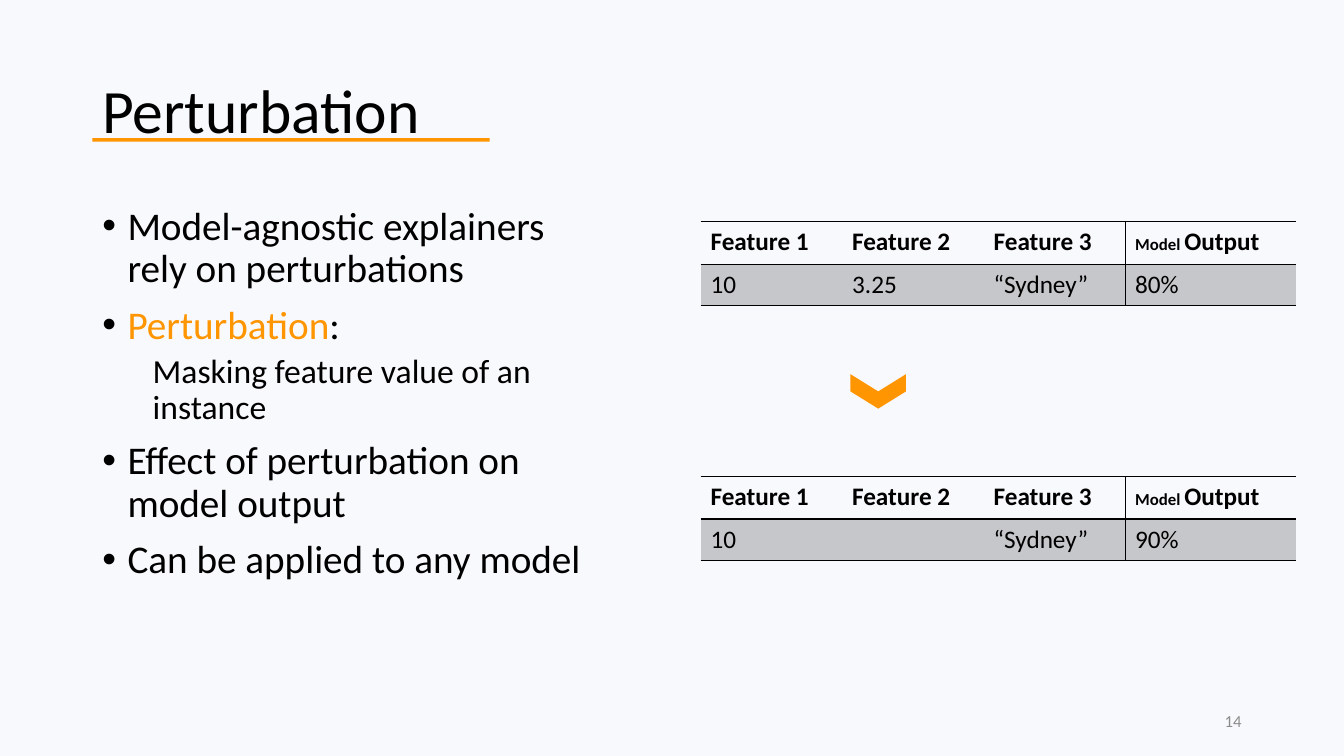
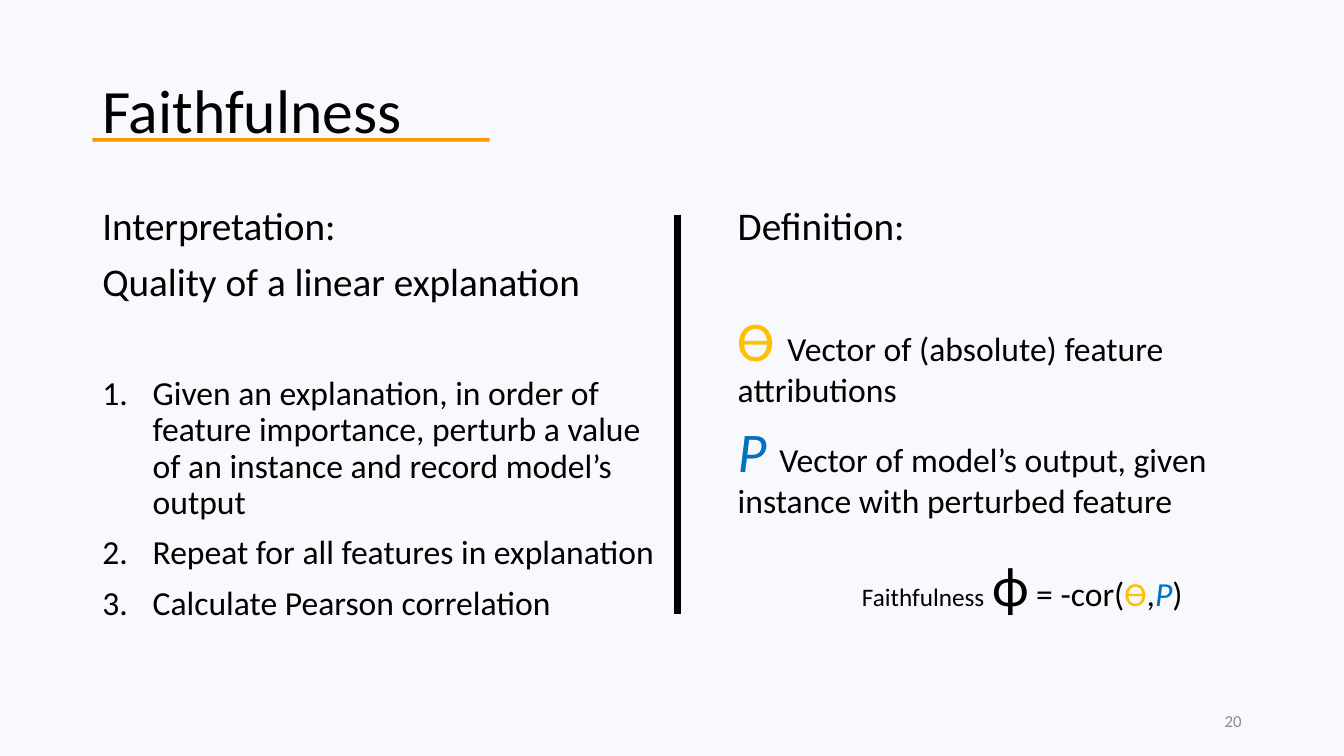
from dataclasses import dataclass
from typing import Optional, Sequence

from lxml.etree import SubElement
from pptx import Presentation
from pptx.dml.color import RGBColor
from pptx.enum.shapes import MSO_CONNECTOR, MSO_SHAPE
from pptx.enum.text import MSO_ANCHOR, PP_ALIGN
from pptx.oxml.ns import qn
from pptx.util import Emu, Inches, Pt

COLORS = {
    "background": "F8F9FD",
    "ink": "000000",
    "accent": "FF9500",
    "theta": "FFC000",
    "output": "0070C0",
    "shade": "C6C7CA",
    "number": "8C8C8C",
}
FONT = "Calibri"

# Square grid: 32 columns by 18 rows
UNIT = Inches(7.5) / 18
LEFT = 2.2
BODY_TOP = 4.8
BODY_HEIGHT = 11.42
TABLE_LEFT = 16.68
TABLE_COLUMNS = (3.37, 3.37, 3.37, 4.06)
TABLE_ROWS = (1.01, 0.98)


@dataclass(frozen=True)
class Box:
    left: float
    top: float
    width: float
    height: float

    def lengths(self) -> tuple:
        return tuple(units(n) for n in (self.left, self.top, self.width, self.height))


@dataclass(frozen=True)
class Run:
    text: str
    size: float = 28
    color: str = "ink"
    bold: bool = False
    italic: bool = False


@dataclass(frozen=True)
class Line:
    runs: Sequence[Run]
    before: float = 10
    spacing: float = 0.9
    align: PP_ALIGN = PP_ALIGN.LEFT
    indent: float = 0  # inches
    hanging: float = 0  # inches
    marker: Optional[str] = None  # "bullet" or "number"


def units(count: float) -> Emu:
    return Emu(round(count * UNIT))


def rgb(name: str) -> RGBColor:
    return RGBColor.from_string(COLORS[name])


def bullet(text: str, *extra: Run, color: str = "ink") -> Line:
    return Line([Run(text, color=color), *extra], indent=0.25, hanging=0.25, marker="bullet")


def step(text: str, before: float = 10) -> Line:
    return Line([Run(text, 24)], before, indent=0.5, hanging=0.5, marker="number")


def add_solid(parent, color: str) -> None:
    SubElement(SubElement(parent, qn("a:solidFill")), qn("a:srgbClr"), val=COLORS[color])


def format_paragraph(paragraph, line: Line) -> None:
    paragraph.alignment = line.align
    paragraph.line_spacing = line.spacing
    paragraph.space_before = Pt(line.before)
    properties = paragraph._p.get_or_add_pPr()
    properties.set("marL", str(Inches(line.indent)))
    properties.set("indent", str(-Inches(line.hanging)))
    if line.marker:
        marker_color = SubElement(properties, qn("a:buClr"))
        SubElement(marker_color, qn("a:srgbClr"), val=COLORS["ink"])
    if line.marker == "bullet":
        SubElement(properties, qn("a:buFont"), typeface="Arial")
        SubElement(properties, qn("a:buChar"), char="•")
    elif line.marker == "number":
        SubElement(properties, qn("a:buFont"), typeface=FONT)
        SubElement(properties, qn("a:buAutoNum"), type="arabicPeriod")


def write_runs(paragraph, runs: Sequence[Run]) -> None:
    for item in runs:
        run = paragraph.add_run()
        run.text = item.text
        run.font.name = FONT
        run.font.size = Pt(item.size)
        run.font.color.rgb = rgb(item.color)
        run.font.bold = item.bold
        run.font.italic = item.italic


def add_text(slide, box: Box, lines: Sequence[Line], *, anchor=MSO_ANCHOR.TOP) -> None:
    frame = slide.shapes.add_textbox(*box.lengths()).text_frame
    frame.word_wrap = True
    frame.vertical_anchor = anchor
    for index, line in enumerate(lines):
        paragraph = frame.add_paragraph() if index else frame.paragraphs[0]
        format_paragraph(paragraph, line)
        write_runs(paragraph, line.runs)


def add_filled_shape(slide, kind: MSO_SHAPE, box: Box, color: str, rotation: float = 0) -> None:
    shape = slide.shapes.add_shape(kind, *box.lengths())
    shape.rotation = rotation
    shape.shadow.inherit = False
    shape.fill.solid()
    shape.fill.fore_color.rgb = rgb(color)
    shape.line.fill.background()


def add_divider(slide, column: float, top: float, bottom: float) -> None:
    divider = slide.shapes.add_connector(
        MSO_CONNECTOR.STRAIGHT, units(column), units(top), units(column), units(bottom))
    divider.line.color.rgb = rgb("ink")
    divider.line.width = Pt(4.5)
    SubElement(divider._element.spPr, qn("a:effectLst"))


def set_borders(cell, sides: str) -> None:
    properties = cell._tc.get_or_add_tcPr()
    for side in "LRTB":
        border = SubElement(properties, qn(f"a:ln{side}"), w=str(Pt(1)))
        if side in sides:
            add_solid(border, "ink")
        else:
            SubElement(border, qn("a:noFill"))


def add_feature_table(slide, top: float, values: Sequence[str]) -> None:
    box = Box(TABLE_LEFT, top, sum(TABLE_COLUMNS), sum(TABLE_ROWS))
    table = slide.shapes.add_table(2, 4, *box.lengths()).table
    table.first_row = table.horz_banding = False
    for column, width in zip(table.columns, TABLE_COLUMNS):
        column.width = units(width)
    for row, height in zip(table.rows, TABLE_ROWS):
        row.height = units(height)
    header = [[Run(f"Feature {n}", 18, bold=True)] for n in (1, 2, 3)]
    header.append([Run("Model ", 12, bold=True), Run("Output", 18, bold=True)])
    content = (header, [[Run(value, 18)] if value else [] for value in values])
    for row_index, cells in enumerate(content):
        for column_index, runs in enumerate(cells):
            cell = table.cell(row_index, column_index)
            write_runs(cell.text_frame.paragraphs[0], runs)
            # The output column is set apart by a rule on its left
            set_borders(cell, "TB" + {2: "R", 3: "L"}.get(column_index, ""))
            if row_index:
                cell.fill.solid()
                cell.fill.fore_color.rgb = rgb("shade")
            else:
                cell.fill.background()


def add_base_slide(presentation, title: str, number: int):
    slide = presentation.slides.add_slide(presentation.slide_layouts[6])
    slide.background.fill.solid()
    slide.background.fill.fore_color.rgb = rgb("background")
    add_filled_shape(slide, MSO_SHAPE.RECTANGLE, Box(LEFT, 3.29, 9.46, 0.08), "accent")
    add_text(slide, Box(LEFT, 0.96, 27.6, 3.48), [Line([Run(title, 44)], 0)],
             anchor=MSO_ANCHOR.MIDDLE)
    add_text(slide, Box(22.6, 16.68, 7.2, 0.96),
             [Line([Run(str(number), 12, "number")], 0, 1.0, PP_ALIGN.RIGHT)],
             anchor=MSO_ANCHOR.MIDDLE)
    return slide


def build_perturbation(presentation) -> None:
    slide = add_base_slide(presentation, "Perturbation", 14)
    add_text(slide, Box(LEFT, BODY_TOP, 11.98, BODY_HEIGHT), [
        bullet("Model-agnostic explainers rely on perturbations"),
        bullet("Perturbation", Run(":"), color="accent"),
        Line([Run("Masking feature value of an instance", 24)], before=5, indent=0.5),
        bullet("Effect of perturbation on model output"),
        bullet("Can be applied to any model"),
    ])
    # Instance before and after masking
    add_feature_table(slide, 5.28, ("10", "3.25", "“Sydney”", "80%"))
    add_feature_table(slide, 11.35, ("10", "", "“Sydney”", "90%"))
    add_filled_shape(slide, MSO_SHAPE.CHEVRON, Box(20.5, 8.66, 0.82, 1.32), "accent", 90)


def build_faithfulness(presentation) -> None:
    slide = add_base_slide(presentation, "Faithfulness", 20)
    # Interpretation
    add_text(slide, Box(LEFT, BODY_TOP, 14.02, BODY_HEIGHT), [
        Line([Run("Interpretation:")]),
        Line([Run("Quality of a linear explanation")]),
        step("Given an explanation, in order of feature importance, perturb a value "
             "of an instance and record model’s output", before=51),
        step("Repeat for all features in explanation"),
        step("Calculate Pearson correlation"),
    ])
    # Definition
    add_text(slide, Box(17.33, BODY_TOP, 14.02, BODY_HEIGHT), [
        Line([Run("Definition:")]),
        Line([Run("ϴ ", 40, "theta"),
              Run("Vector of (absolute) feature attributions", 24)], before=46),
        Line([Run("P ", 40, "output", italic=True),
              Run("Vector of model’s output, given instance with perturbed feature", 24)]),
        Line([Run("Faithfulness", 18), Run(" ", 24), Run("ϕ", 40), Run(" = -cor(", 24),
              Run("ϴ", 24, "theta"), Run(",", 24), Run("P", 24, "output", italic=True),
              Run(")", 24)], before=26.6, align=PP_ALIGN.CENTER),
    ])
    add_divider(slide, 16.13, 5.11, 14.62)


def main() -> None:
    presentation = Presentation()
    presentation.slide_width = units(32)
    presentation.slide_height = units(18)
    build_perturbation(presentation)
    build_faithfulness(presentation)
    presentation.save("out.pptx")


if __name__ == "__main__":
    main()
